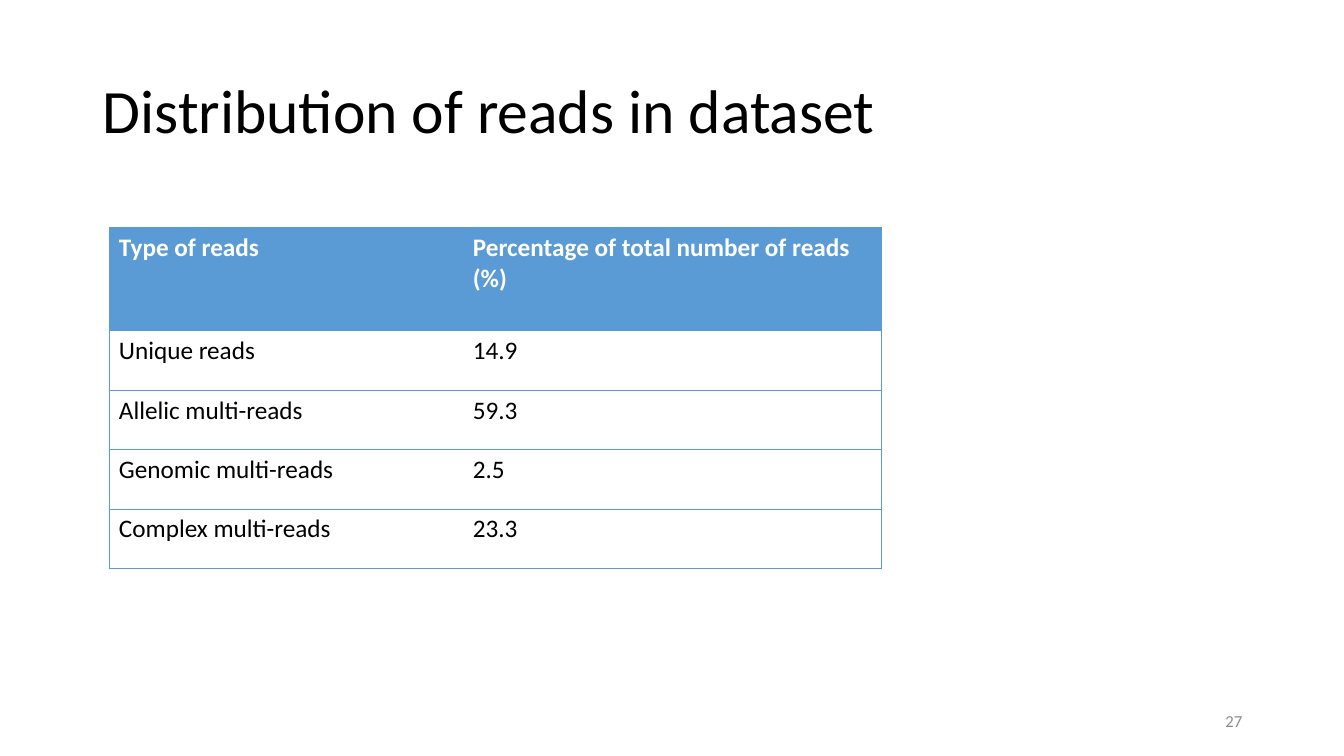
from lxml.etree import SubElement
from pptx import Presentation
from pptx.dml.color import RGBColor as RGB
from pptx.enum.text import MSO_ANCHOR as ANCHOR, PP_ALIGN as ALIGN
from pptx.oxml.ns import qn
from pptx.util import Inches, Pt

COLORS = {"text": "000000", "muted": "8C8C8C", "blue": "5B9BD5", "white": "FFFFFF"}
NO_STYLE = "{2D5ABB26-0587-4C30-8999-92F81FD0307C}"
READS = [
    ("Type of reads", "Percentage of total number of reads (%)"),
    ("Unique reads", "14.9"),
    ("Allelic multi-reads", "59.3"),
    ("Genomic multi-reads", "2.5"),
    ("Complex multi-reads", "23.3"),
]


def write(tf, text, color, align=ALIGN.LEFT, spacing=1.0, **font):
    """Put one formatted run into a text frame."""
    p = tf.paragraphs[0]
    p.alignment, p.line_spacing = align, spacing
    r = p.add_run()
    r.text = text
    r.font.color.rgb = RGB.from_string(COLORS[color])
    for name, value in {"name": "Calibri", **font}.items():
        setattr(r.font, name, value)


def add_text(slide, box, text, color, **fmt):
    """Add a wrapped, vertically centred text box."""
    tf = slide.shapes.add_textbox(*map(Inches, box)).text_frame
    tf.word_wrap = True
    tf.vertical_anchor = ANCHOR.MIDDLE
    write(tf, text, color, **fmt)


def add_border(cell, side, color):
    """Draw a half-point line along one side of a cell."""
    ln = SubElement(cell._tc.get_or_add_tcPr(), qn(f"a:ln{side}"), w=str(Pt(0.5)))
    SubElement(SubElement(ln, qn("a:solidFill")), qn("a:srgbClr"), val=COLORS[color])


def add_reads_table(slide, box, rows, col_widths, header_height):
    """Add the table of read types with a header row and ruled body."""
    x, y, w, h = map(Inches, box)
    table = slide.shapes.add_table(len(rows), len(col_widths), x, y, w, h).table
    table._tbl.tblPr.find(qn("a:tableStyleId")).text = NO_STYLE
    for col, width in zip(table.columns, col_widths):
        col.width = Inches(width)
    body_height = (box[3] - header_height) / (len(rows) - 1)
    last = len(col_widths) - 1
    for i, values in enumerate(rows):
        header = i == 0
        table.rows[i].height = Inches(header_height if header else body_height)
        for j, value in enumerate(values):
            cell = table.cell(i, j)
            sides = ("L" if j == 0 else "") + ("R" if j == last else "") + "TB"
            for side in sides:
                add_border(cell, side, "blue")
            cell.fill.solid()
            cell.fill.fore_color.rgb = RGB.from_string(COLORS["blue" if header else "white"])
            write(cell.text_frame, value, "white" if header else "text",
                  size=Pt(18), bold=header)


def build_slide(prs):
    """Build the slide on read distribution."""
    slide = prs.slides.add_slide(prs.slide_layouts[6])
    add_text(slide, (0.92, 0.4, 11.5, 1.45), "Distribution of reads in dataset",
             "text", spacing=0.9, size=Pt(44))
    add_reads_table(slide, (1.08, 2.26, 7.66, 3.38), READS, (3.51, 4.15), 1.02)
    add_text(slide, (9.42, 6.95, 3, 0.4), "27", "muted", align=ALIGN.RIGHT, size=Pt(12))


def main():
    """Create and save the presentation."""
    prs = Presentation()
    prs.slide_width, prs.slide_height = Inches(13.33), Inches(7.5)
    build_slide(prs)
    prs.save("out.pptx")


if __name__ == "__main__":
    main()
